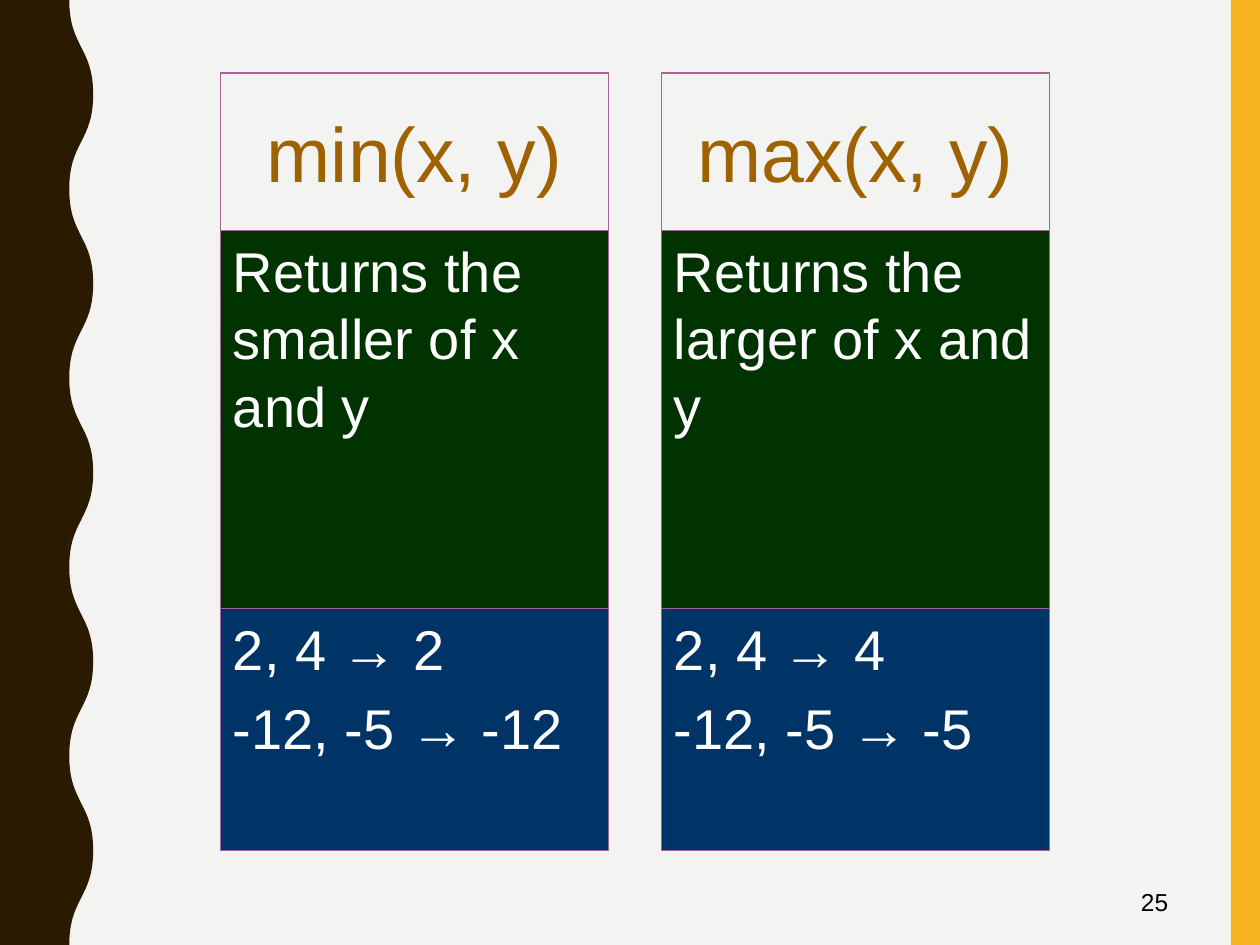
from dataclasses import dataclass

from lxml import etree
from pptx import Presentation
from pptx.dml.color import RGBColor
from pptx.enum import shapes, text
from pptx.oxml.ns import qn
from pptx.util import Inches, Pt

BACKGROUND = RGBColor(0xF3, 0xF3, 0xF2)
GOLD = RGBColor(0xF8, 0xB3, 0x23)
BROWN = RGBColor(0x2A, 0x1A, 0x00)
GREEN = RGBColor(0x00, 0x33, 0x00)
BLUE = RGBColor(0x00, 0x33, 0x66)
PURPLE = RGBColor(0xA4, 0x66, 0x94)
OCHRE = RGBColor(0x9F, 0x62, 0x00)
WHITE = RGBColor(0xFF, 0xFF, 0xFF)
BLACK = RGBColor(0x00, 0x00, 0x00)

BODY = {"alignment": text.PP_ALIGN.LEFT, "space_before": Pt(6.4)}
TITLE = {"alignment": text.PP_ALIGN.CENTER}
NUMBER = {"alignment": text.PP_ALIGN.RIGHT}


@dataclass
class Row:
    top: float
    height: float
    fill: RGBColor | None
    line_width: float
    size: int
    color: RGBColor
    anchor: text.MSO_ANCHOR
    paragraph_format: dict


@dataclass
class Column:
    left: float
    cells: list[list[str]]


# Rows run from back to front
ROWS = [
    Row(1.83, 3, GREEN, 1, 32, WHITE, text.MSO_ANCHOR.TOP, BODY),
    Row(0.58, 1.25, None, 0.75, 44, OCHRE, text.MSO_ANCHOR.MIDDLE, TITLE),
    Row(4.83, 1.92, BLUE, 1, 32, WHITE, text.MSO_ANCHOR.TOP, BODY),
]
COLUMNS = [
    Column(1.75, [["Returns the smaller of x and y"], ["min(x, y)"],
                  ["2, 4 → 2", "-12, -5 → -12"]]),
    Column(5.25, [["Returns the larger of x and y"], ["max(x, y)"],
                  ["2, 4 → 4", "-12, -5 → -5"]]),
]
COLUMN_WIDTH = 3.08


def write(shape, lines: list[str], size: int, color: RGBColor,
          anchor: text.MSO_ANCHOR, paragraph_format: dict) -> None:
    frame = shape.text_frame
    frame.word_wrap = True
    frame.vertical_anchor = anchor
    frame.text = "\n".join(lines)
    for paragraph in frame.paragraphs:
        for name, value in paragraph_format.items():
            setattr(paragraph, name, value)
        font = paragraph.runs[0].font
        for name, value in {"name": "Arial", "size": Pt(size)}.items():
            setattr(font, name, value)
        font.color.rgb = color


def paint(shape, fill: RGBColor | None) -> None:
    shape.shadow.inherit = False
    if fill is None:
        shape.fill.background()
    else:
        shape.fill.solid()
        shape.fill.fore_color.rgb = fill
    shape.line.fill.background()


def add_rectangle(slide, left: float, top: float, width: float, height: float,
                  fill: RGBColor | None):
    shape = slide.shapes.add_shape(shapes.MSO_SHAPE.RECTANGLE, Inches(left),
                                   Inches(top), Inches(width), Inches(height))
    paint(shape, fill)
    return shape


def add_wavy_band(slide, inner: float, outer: float, half_wave: float, count: int,
                  fill: RGBColor) -> None:
    """Band on the left whose right edge swings between inner and outer."""
    points = []
    for index in range(count):
        start, end = (inner, outer) if index % 2 == 0 else (outer, inner)
        top, bottom = index * half_wave, (index + 1) * half_wave
        middle = (top + bottom) / 2
        points += [(start, middle), (end, middle), (end, bottom)]
    points.append((0, count * half_wave))
    builder = slide.shapes.build_freeform(0, 0)
    builder.add_line_segments([(Inches(x), Inches(y)) for x, y in [(inner, 0), *points]])
    shape = builder.convert_to_shape()
    paint(shape, fill)

    # Each three edge points become the controls and end of one curve
    segments = list(shape.element.iter(qn("a:lnTo")))[1:]
    for first in range(0, 3 * count, 3):
        curve = etree.Element(qn("a:cubicBezTo"))
        segments[first].addprevious(curve)
        for segment in segments[first:first + 3]:
            curve.append(segment[0])
            segment.getparent().remove(segment)


presentation = Presentation()
presentation.slide_width, presentation.slide_height = Inches(10), Inches(7.5)
slide = presentation.slides.add_slide(presentation.slide_layouts[6])
slide.background.fill.solid()
slide.background.fill.fore_color.rgb = BACKGROUND

# Side bands
add_rectangle(slide, 9.77, 0, 0.23, 7.5, GOLD)
add_wavy_band(slide, 0.55, 0.74, 0.75, 10, BROWN)

# Slide number
number = slide.shapes.add_textbox(Inches(7.06), Inches(6.97), Inches(2.31), Inches(0.38))
write(number, ["25"], 14, BLACK, text.MSO_ANCHOR.MIDDLE, NUMBER)

# Function cards
for column in COLUMNS:
    for row, lines in zip(ROWS, column.cells):
        cell = add_rectangle(slide, column.left, row.top, COLUMN_WIDTH, row.height, row.fill)
        cell.line.color.rgb = PURPLE
        cell.line.width = Pt(row.line_width)
        write(cell, lines, row.size, row.color, row.anchor, row.paragraph_format)

presentation.save("out.pptx")
